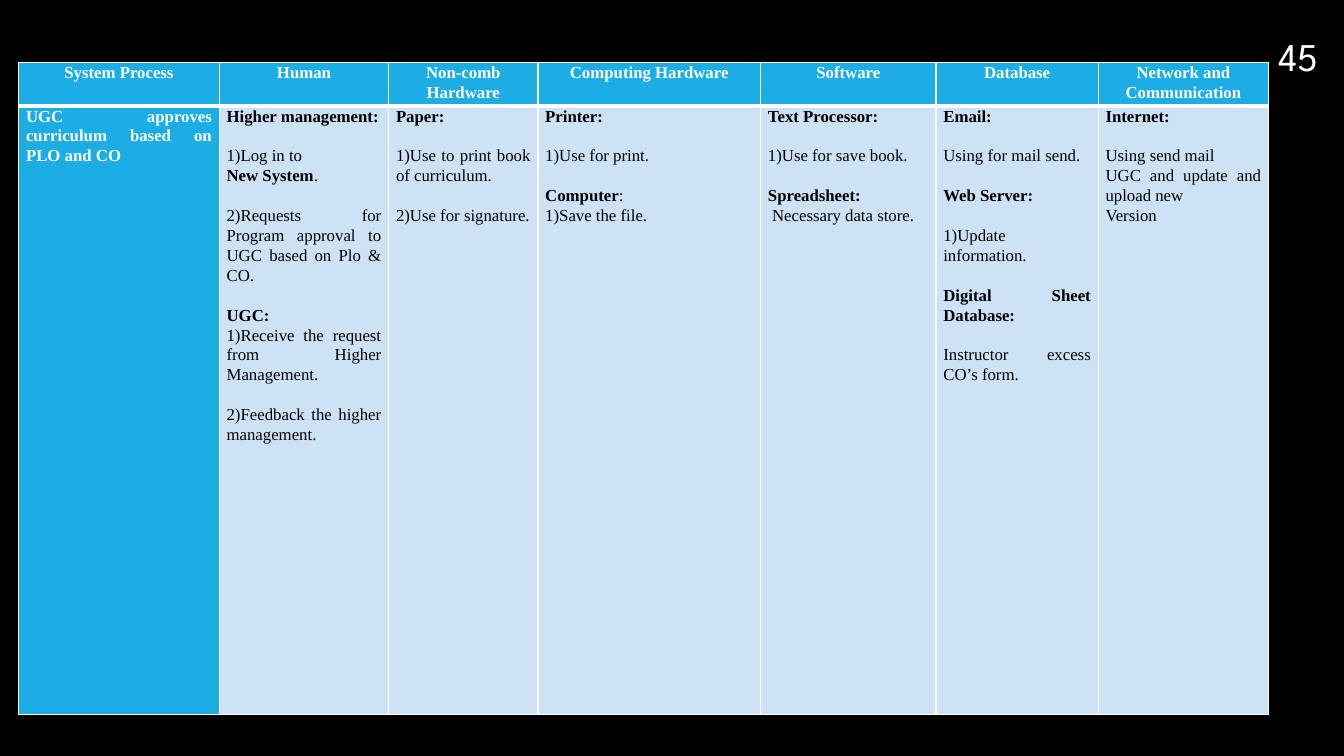
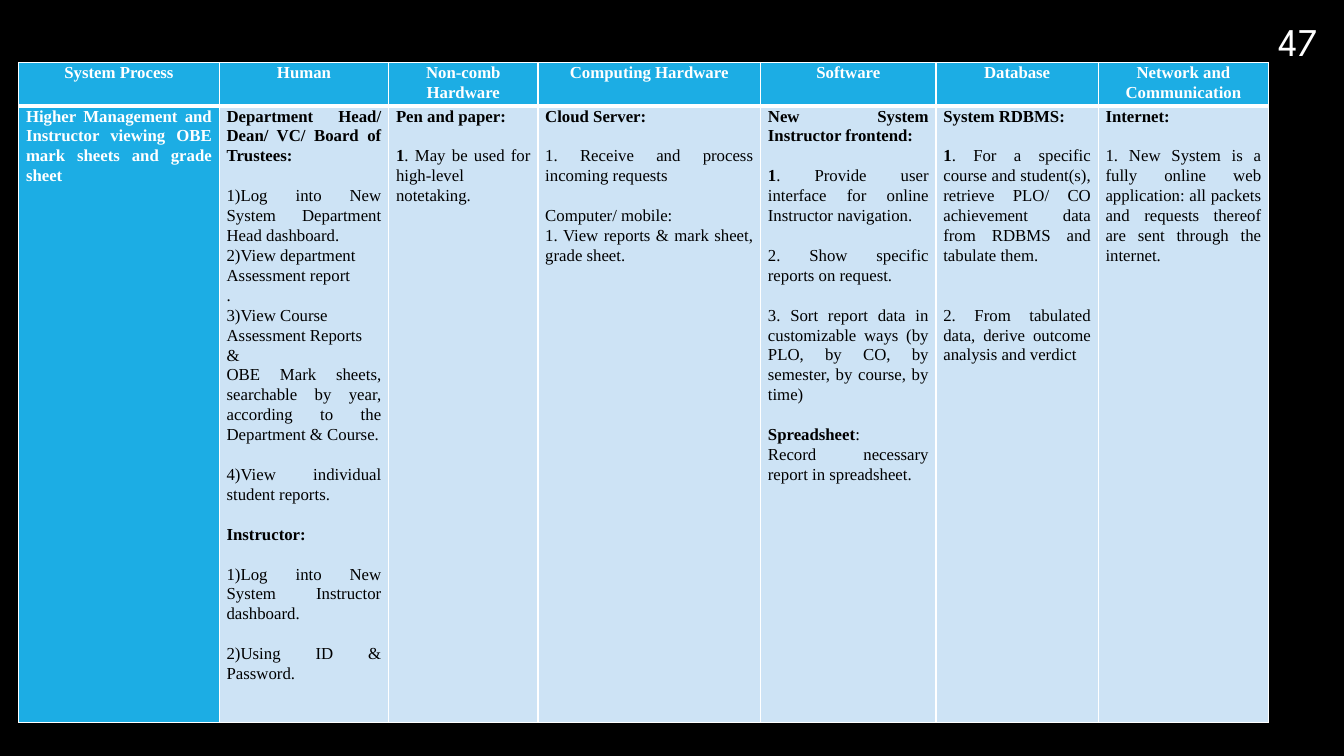
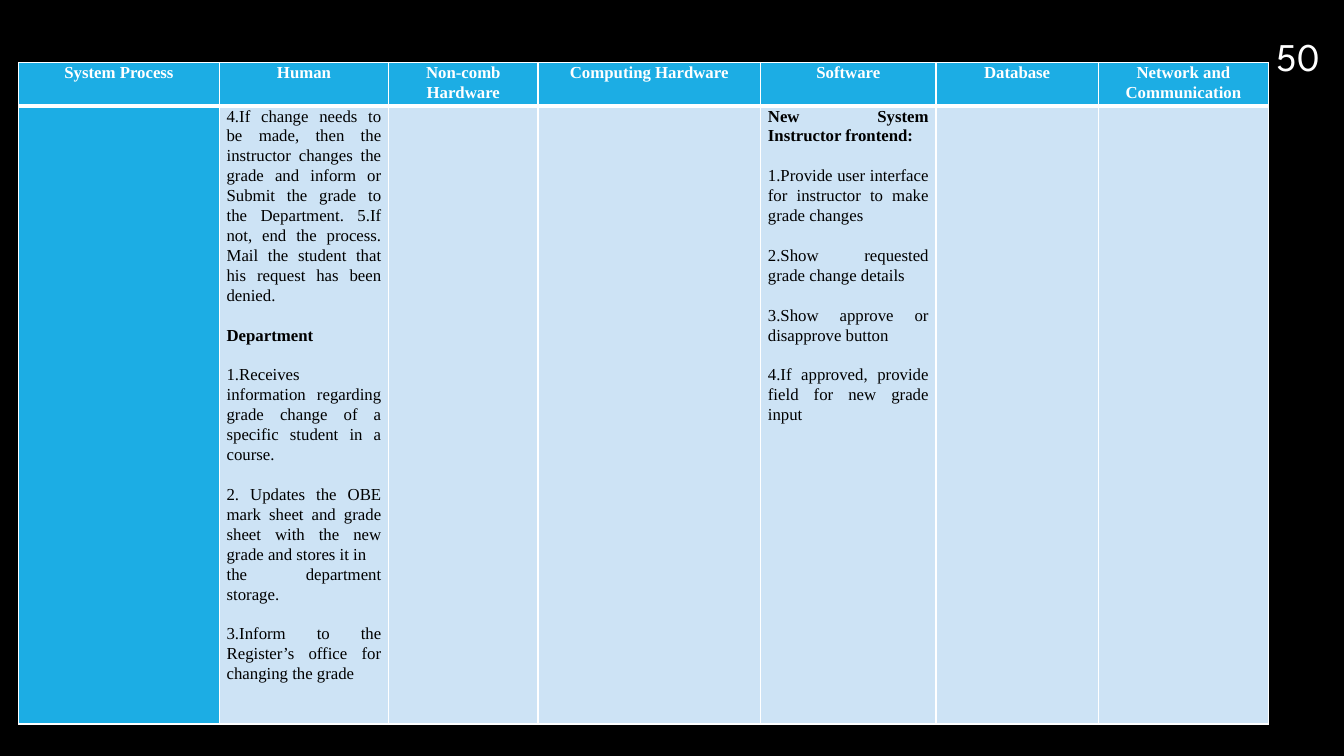
import dataclasses

import pptx
import pptx.dml.color
import pptx.enum.text
import pptx.oxml
import pptx.oxml.ns
import pptx.util

Pt = pptx.util.Pt
RGBColor = pptx.dml.color.RGBColor
ALIGN = pptx.enum.text.PP_ALIGN
ANCHOR = pptx.enum.text.MSO_ANCHOR

# Shared look
BLACK = RGBColor(0x00, 0x00, 0x00)
WHITE = RGBColor(0xFF, 0xFF, 0xFF)
BLUE = RGBColor(0x1C, 0xAD, 0xE4)
PALE_BLUE = RGBColor(0xCD, 0xE3, 0xF5)
BODY_FONT = "Times New Roman"
NUMBER_FONT = "League Spartan"
LINE_SPACING = 1.07
LINE_PITCH = 14.2
THIN, THICK = 1, 3

# Table geometry, in points
TABLE_LEFT, TABLE_TOP = 13.4, 44.6
COLUMN_WIDTHS = (143.3, 121, 106.6, 159.1, 125.3, 115.9, 121.7)
HEADER_HEIGHT, BODY_HEIGHT = 31, 434.9
HEADERS = (
    "System Process", "Human", "Non-comb Hardware", "Computing Hardware",
    "Software", "Database", "Network and Communication",
)


@dataclasses.dataclass(frozen=True)
class Line:
    """A paragraph: bold lead, plain rest, and the lines left free above it."""
    lead: str = ""
    rest: str = ""
    gap: int = 0
    indent: float = 0


@dataclasses.dataclass(frozen=True)
class Page:
    number: str
    columns: tuple[tuple[Line, ...], ...]
    number_top: float = 0


def head(text: str, gap: int = 0) -> Line:
    return Line(lead=text, gap=gap)


def item(text: str, gap: int = 0, indent: float = 0) -> Line:
    return Line(rest=text, gap=gap, indent=indent)


# Content of the three pages
APPROVAL = Page("45", (
    (head("UGC approves curriculum based on PLO and CO"),),
    (
        head("Higher management:"),
        item("1)Log in to", 1),
        Line("New System", "."),
        item("2)Requests for Program approval to UGC based on Plo & CO.", 1),
        head("UGC:", 1),
        item("1)Receive the request from Higher Management."),
        item("2)Feedback the higher management.", 1),
    ),
    (
        head("Paper:"),
        item("1)Use to print book of curriculum.", 1),
        item("2)Use for signature.", 1),
    ),
    (
        head("Printer:"),
        item("1)Use for print.", 1),
        Line("Computer", ":", 1),
        item("1)Save the file."),
    ),
    (
        head("Text Processor:"),
        item("1)Use for save book.", 1),
        head("Spreadsheet:", 1),
        item("Necessary data store.", indent=3),
    ),
    (
        head("Email:"),
        item("Using for mail send.", 1),
        head("Web Server:", 1),
        item("1)Update information.", 1),
        head("Digital Sheet Database:", 1),
        item("Instructor excess CO’s form.", 1),
    ),
    (
        head("Internet:"),
        item("Using send mail", 1),
        item("UGC and update and upload new"),
        item("Version"),
    ),
))

VIEWING = Page("47", (
    (head("Higher Management and Instructor viewing OBE mark sheets and grade sheet"),),
    (
        head("Department Head/ Dean/ VC/ Board of Trustees:"),
        item("1)Log into New System Department Head dashboard.", 1),
        item("2)View department"),
        item("Assessment report"),
        item("."),
        item("3)View Course"),
        item("Assessment Reports"),
        item("&"),
        item("OBE Mark sheets, searchable by year, according to the Department & Course."),
        item("4)View individual student reports.", 1),
        head("Instructor:", 1),
        item("1)Log into New System Instructor dashboard.", 1),
        item("2)Using ID & Password.", 1),
    ),
    (
        head("Pen and paper:"),
        Line("1", ". May be used for high-level notetaking.", 1),
    ),
    (
        head("Cloud Server:"),
        item("1. Receive and process incoming requests", 1),
        item("Computer/ mobile:", 1),
        item("1. View reports & mark sheet, grade sheet."),
    ),
    (
        head("New System Instructor frontend:"),
        Line("1", ". Provide user interface for online Instructor navigation.", 1),
        item("2. Show specific reports on request.", 1),
        item("3. Sort report data in customizable ways (by PLO, by CO, "
             "by semester, by course, by time)", 1),
        Line("Spreadsheet", ":", 1),
        item("Record necessary report in spreadsheet."),
    ),
    (
        head("System RDBMS:"),
        Line("1", ". For a specific course and student(s), retrieve PLO/ CO "
             "achievement data from RDBMS and tabulate them.", 1),
        item("2. From tabulated data, derive outcome analysis and verdict", 2),
    ),
    (
        head("Internet:"),
        item("1. New System is a fully online web application: all packets "
             "and requests thereof are sent through the internet.", 1),
    ),
), number_top=-10.8)

GRADE_CHANGE = Page("50", (
    (),
    (
        item("4.If change needs to be made, then the instructor changes the grade "
             "and inform or Submit the grade to the Department. 5.If not, end the "
             "process. Mail the student that his request has been denied."),
        head("Department", 1),
        item("1.Receives", 1),
        item("information regarding grade change of a specific student in a course."),
        item("2. Updates the OBE mark sheet and grade sheet with the new grade "
             "and stores it in", 1),
        item("the department storage."),
        item("3.Inform to the Register’s office for changing the grade", 1),
    ),
    (),
    (),
    (
        head("New System Instructor frontend:"),
        item("1.Provide user interface for instructor to make grade changes", 1),
        item("2.Show requested grade change details", 1),
        item("3.Show approve or disapprove button", 1),
        item("4.If approved, provide field for new grade input", 1),
    ),
    (),
    (),
))


def add_text(paragraph, text: str, *, size: float = 12, font: str = BODY_FONT,
             color: RGBColor = BLACK, bold: bool = False) -> None:
    run = paragraph.add_run()
    run.text = text
    run.font.size = Pt(size)
    run.font.name = font
    run.font.color.rgb = color
    run.font.bold = bold


def set_borders(cell, *, top: float, bottom: float) -> None:
    properties = cell._tc.get_or_add_tcPr()
    for side, width in (("L", THIN), ("R", THIN), ("T", top), ("B", bottom)):
        properties.append(pptx.oxml.parse_xml(
            f'<a:ln{side} {pptx.oxml.ns.nsdecls("a")} w="{Pt(width)}">'
            f'<a:solidFill><a:srgbClr val="{WHITE}"/></a:solidFill></a:ln{side}>'))


def fill_cell(cell, lines: tuple[Line, ...], *, fill: RGBColor, color: RGBColor,
              align: ALIGN, margin: float, top: float, bottom: float) -> None:
    set_borders(cell, top=top, bottom=bottom)
    cell.fill.solid()
    cell.fill.fore_color.rgb = fill
    cell.margin_left = cell.margin_right = Pt(margin)
    cell.margin_top = cell.margin_bottom = Pt(0)
    frame = cell.text_frame
    for index, line in enumerate(lines):
        paragraph = frame.add_paragraph() if index else frame.paragraphs[0]
        paragraph.alignment = align
        paragraph.line_spacing = LINE_SPACING
        if line.gap:
            paragraph.space_before = Pt(line.gap * LINE_PITCH)
        if line.indent:
            paragraph._p.get_or_add_pPr().set("marL", str(Pt(line.indent)))
        for text, bold in ((line.lead, True), (line.rest, False)):
            if text:
                add_text(paragraph, text, color=color, bold=bold)


def add_page_number(slide, page: Page) -> None:
    box = slide.shapes.add_textbox(Pt(894.2), Pt(page.number_top), Pt(66.2), Pt(60.5))
    frame = box.text_frame
    frame.word_wrap = True
    frame.vertical_anchor = ANCHOR.BOTTOM
    frame.paragraphs[0].alignment = ALIGN.CENTER
    add_text(frame.paragraphs[0], page.number, size=28, font=NUMBER_FONT, color=WHITE)


def add_process_table(slide, page: Page) -> None:
    table = slide.shapes.add_table(
        2, len(HEADERS), Pt(TABLE_LEFT), Pt(TABLE_TOP),
        Pt(sum(COLUMN_WIDTHS)), Pt(HEADER_HEIGHT + BODY_HEIGHT)).table
    table.horz_banding = False
    table.rows[0].height = Pt(HEADER_HEIGHT)
    table.rows[1].height = Pt(BODY_HEIGHT)
    for column, (width, header, lines) in enumerate(
            zip(COLUMN_WIDTHS, HEADERS, page.columns)):
        table.columns[column].width = Pt(width)
        fill_cell(table.cell(0, column), (head(header),), fill=BLUE, color=WHITE,
                  align=ALIGN.CENTER, margin=2, top=THIN, bottom=THICK)
        is_process = column == 0
        fill_cell(table.cell(1, column), lines,
                  fill=BLUE if is_process else PALE_BLUE,
                  color=WHITE if is_process else BLACK,
                  align=ALIGN.JUSTIFY, margin=5.2, top=THICK, bottom=THIN)


def main() -> None:
    deck = pptx.Presentation()
    deck.slide_width, deck.slide_height = Pt(960), Pt(540)
    for page in (APPROVAL, VIEWING, GRADE_CHANGE):
        slide = deck.slides.add_slide(deck.slide_layouts[6])
        slide.background.fill.solid()
        slide.background.fill.fore_color.rgb = BLACK
        add_page_number(slide, page)
        add_process_table(slide, page)
    deck.save("out.pptx")


if __name__ == "__main__":
    main()
